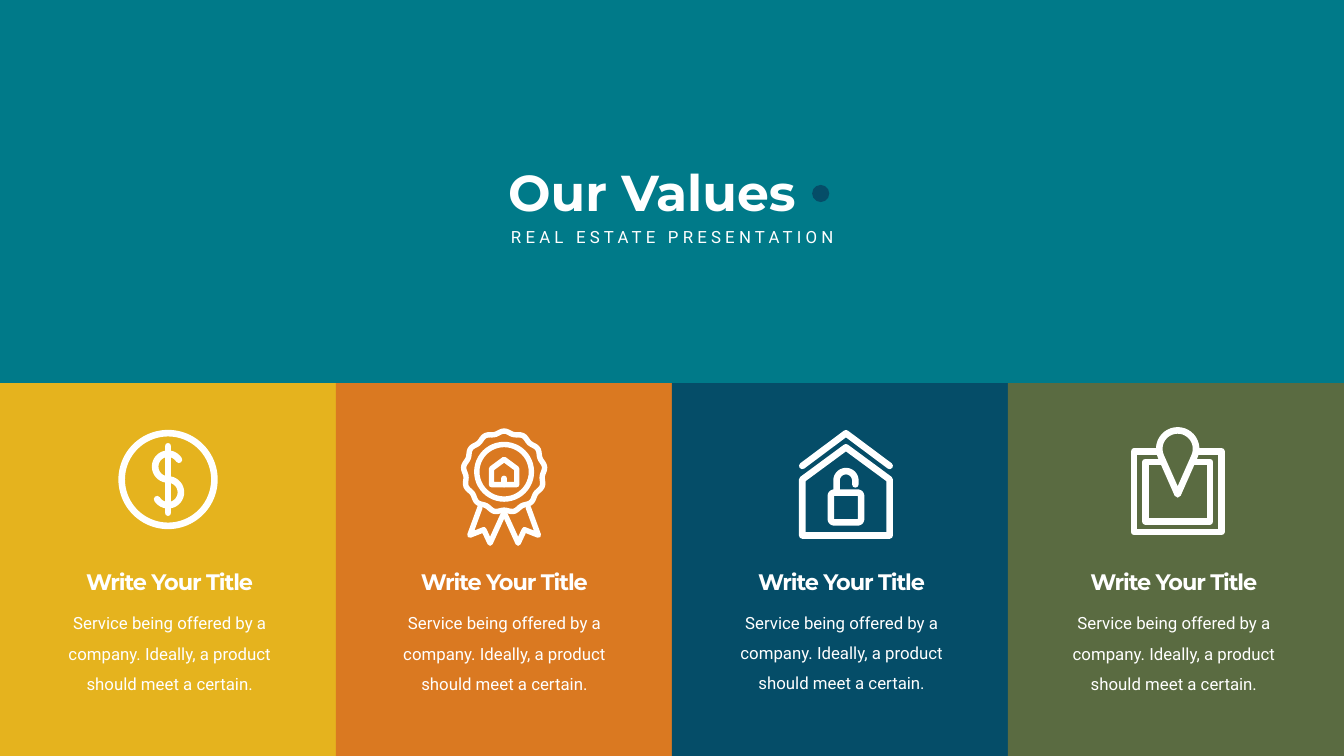
import math

import pptx
import pptx.dml.color
import pptx.enum.shapes
import pptx.enum.text
import pptx.oxml
import pptx.oxml.ns
import pptx.util

Pt = pptx.util.Pt
PRESET = pptx.enum.shapes.MSO_SHAPE

SLIDE_WIDTH, SLIDE_HEIGHT = 1919.52, 1080
BANNER_HEIGHT = 547.2
CARD_WIDTH = SLIDE_WIDTH / 4
ICON_Y = 685
WHITE, TEAL, NAVY = "FFFFFF", "007A89", "054D68"
BOLD_STROKE, FINE_STROKE = 9.4, 7.7
CARD_TITLE = "Write Your Title"
CARD_BODY = "Service being offered by a company. Ideally, a product should meet a certain."


def rgb(color):
    return pptx.dml.color.RGBColor.from_string(color)


def add_filled(slide, preset, x, y, width, height, color):
    shape = slide.shapes.add_shape(preset, Pt(x), Pt(y), Pt(width), Pt(height))
    shape.shadow.inherit = False
    shape.fill.solid()
    shape.fill.fore_color.rgb = rgb(color)
    shape.line.fill.background()
    return shape


def add_text(slide, x, y, width, height, text, font, size, bold=False,
             tracking=0, line_spacing=None, insets=(7.2, 3.6)):
    box = slide.shapes.add_textbox(Pt(x), Pt(y), Pt(width), Pt(height))
    frame = box.text_frame
    frame.word_wrap = True
    frame.auto_size = pptx.enum.text.MSO_AUTO_SIZE.SHAPE_TO_FIT_TEXT
    frame.margin_left = frame.margin_right = Pt(insets[0])
    frame.margin_top = frame.margin_bottom = Pt(insets[1])
    paragraph = frame.paragraphs[0]
    paragraph.alignment = pptx.enum.text.PP_ALIGN.CENTER
    if line_spacing:
        paragraph.line_spacing = Pt(line_spacing)
    run = paragraph.add_run()
    run.text = text
    run.font.name = font
    run.font.size = Pt(size)
    run.font.bold = bold
    run.font.color.rgb = rgb(WHITE)
    if tracking:
        run._r.get_or_add_rPr().set("spc", str(round(tracking * 100)))


def style_stroke(line, width):
    """Give a line white colour with round caps and joins."""
    line.width = Pt(width)
    line.fill.solid()
    line.fill.fore_color.rgb = rgb(WHITE)
    ln = line._get_or_add_ln()
    ln.set("cap", "rnd")
    ln.append(pptx.oxml.parse_xml(f'<a:round {pptx.oxml.ns.nsdecls("a")}/>'))


def add_outline(slide, preset, cx, cy, width, height, stroke):
    shape = add_filled(slide, preset, cx - width / 2, cy - height / 2, width, height, WHITE)
    shape.fill.background()
    style_stroke(shape.line, stroke)
    return shape


def add_stroke_path(slide, cx, cy, points, stroke, close=False):
    """Draw an unfilled outline through points given from a centre."""
    corners = [(Pt(cx + x), Pt(cy + y)) for x, y in points]
    builder = slide.shapes.build_freeform(*corners[0])
    builder.add_line_segments(corners[1:], close=close)
    shape = builder.convert_to_shape()
    shape.shadow.inherit = False
    shape.fill.background()
    style_stroke(shape.line, stroke)


def add_vertical(slide, x, top, bottom, stroke):
    line = slide.shapes.add_connector(
        pptx.enum.shapes.MSO_CONNECTOR.STRAIGHT, Pt(x), Pt(top), Pt(x), Pt(bottom))
    style_stroke(line.line, stroke)
    line._element.spPr.append(
        pptx.oxml.parse_xml(f'<a:effectLst {pptx.oxml.ns.nsdecls("a")}/>'))


def arc(cy, radius, start, end, steps=24):
    """Points of an arc centred on x = 0, angles in degrees, clockwise."""
    angles = [math.radians(start + (end - start) * i / steps) for i in range(steps + 1)]
    return [(radius * math.cos(a), cy + radius * math.sin(a)) for a in angles]


def mirrored(left_half):
    """Continue a left half that ends on the axis with its mirror image."""
    return left_half + [(-x, y) for x, y in reversed(left_half[:-1])]


def draw_dollar(slide, cx, cy):
    add_outline(slide, PRESET.OVAL, cx, cy, 132.4, 132.4, BOLD_STROKE)
    curve = arc(-18.4, 18.4, -32, -270) + arc(18.4, 18.4, -90, 148)[1:]
    add_stroke_path(slide, cx, cy, curve, BOLD_STROKE)
    add_vertical(slide, cx, cy - 47.5, cy + 47.5, BOLD_STROKE)


def draw_rosette(slide, cx, cy):
    ribbons = mirrored([(-34.5, 40), (-49, 79.6), (-29, 71.7), (-20, 91), (0, 47)])
    add_stroke_path(slide, cx, cy, ribbons, FINE_STROKE)
    medal_y = cy - 11
    scallops = []
    for degree in range(0, 360, 3):
        angle = math.radians(degree)
        radius = 56.5 + 1.7 * math.cos(13 * angle)
        scallops.append((radius * math.sin(angle), -radius * math.cos(angle)))
    add_stroke_path(slide, cx, medal_y, scallops, FINE_STROKE, close=True)
    add_outline(slide, PRESET.OVAL, cx, medal_y, 78, 78, FINE_STROKE)
    house = mirrored([(-18, 7.3), (-18, -15.4), (0, -28.7)])
    add_stroke_path(slide, cx, cy, house, FINE_STROKE, close=True)
    add_vertical(slide, cx, cy - 1.7, cy + 7.3, FINE_STROKE)


def draw_locked_house(slide, cx, cy):
    walls = mirrored([(-62.4, 80), (-62.4, 0), (0, -46)])
    add_stroke_path(slide, cx, cy, walls, BOLD_STROKE, close=True)
    roof = mirrored([(-62.4, -19.4), (0, -66)])
    add_stroke_path(slide, cx, cy, roof, BOLD_STROKE)
    padlock = add_outline(slide, PRESET.ROUNDED_RECTANGLE, cx, cy + 40, 43.2, 42.5, BOLD_STROKE)
    padlock.adjustments[0] = 0.11
    shackle = [(-13.4, 18.8)] + arc(1.5, 13.4, 180, 360) + [(13.4, 7)]
    add_stroke_path(slide, cx, cy, shackle, BOLD_STROKE)


def draw_map_pin(slide, cx, cy):
    for gap, side, top, bottom in ((30, 62.3, -40.2, 75), (24, 46, -25.1, 59.8)):
        frame = [(-gap, top), (-side, top), (-side, bottom),
                 (side, bottom), (side, top), (gap, top)]
        add_stroke_path(slide, cx, cy, frame, BOLD_STROKE)
    pin = arc(-43.8, 26.3, 156, 384) + [(0, 21.3)]
    add_stroke_path(slide, cx, cy, pin, BOLD_STROKE, close=True)


def add_heading(slide):
    add_filled(slide, PRESET.RECTANGLE, 0, 0, SLIDE_WIDTH, BANNER_HEIGHT, TEAL)
    add_text(slide, 708.5, 226.8, 445, 94.3, "Our Values", "Montserrat", 72, bold=True)
    add_text(slide, 707.8, 320.4, 504.7, 36, "REAL ESTATE PRESENTATION",
             "Roboto", 24, tracking=6)
    add_filled(slide, PRESET.OVAL, 1159.9, 264.2, 24.5, 24.5, NAVY)


def add_card(slide, index, color, draw_icon, icon_x, text_x, text_shift):
    add_filled(slide, PRESET.RECTANGLE, index * CARD_WIDTH, BANNER_HEIGHT,
               CARD_WIDTH, SLIDE_HEIGHT - BANNER_HEIGHT, color)
    draw_icon(slide, icon_x, ICON_Y)
    add_text(slide, text_x - 186.85, 853.2 + text_shift, 373.7, 144, CARD_BODY,
             "Roboto", 24, line_spacing=43, insets=(17.3, 8.6))
    add_text(slide, text_x - 180.7, 808.6 + text_shift, 361.4, 46, CARD_TITLE,
             "Montserrat", 32, bold=True, tracking=-1.5)


def main():
    deck = pptx.Presentation()
    deck.slide_width, deck.slide_height = Pt(SLIDE_WIDTH), Pt(SLIDE_HEIGHT)
    slide = deck.slides.add_slide(deck.slide_layouts[6])
    add_heading(slide)
    cards = [
        ("E5B31E", draw_dollar, 240, 242.3, 0),
        ("DA7921", draw_rosette, 720, 720.4, 0),
        (NAVY, draw_locked_house, 1208.2, 1202, -1),
        ("5A6B41", draw_map_pin, 1682, 1676.5, 0),
    ]
    for index, card in enumerate(cards):
        add_card(slide, index, *card)
    deck.save("out.pptx")


if __name__ == "__main__":
    main()
